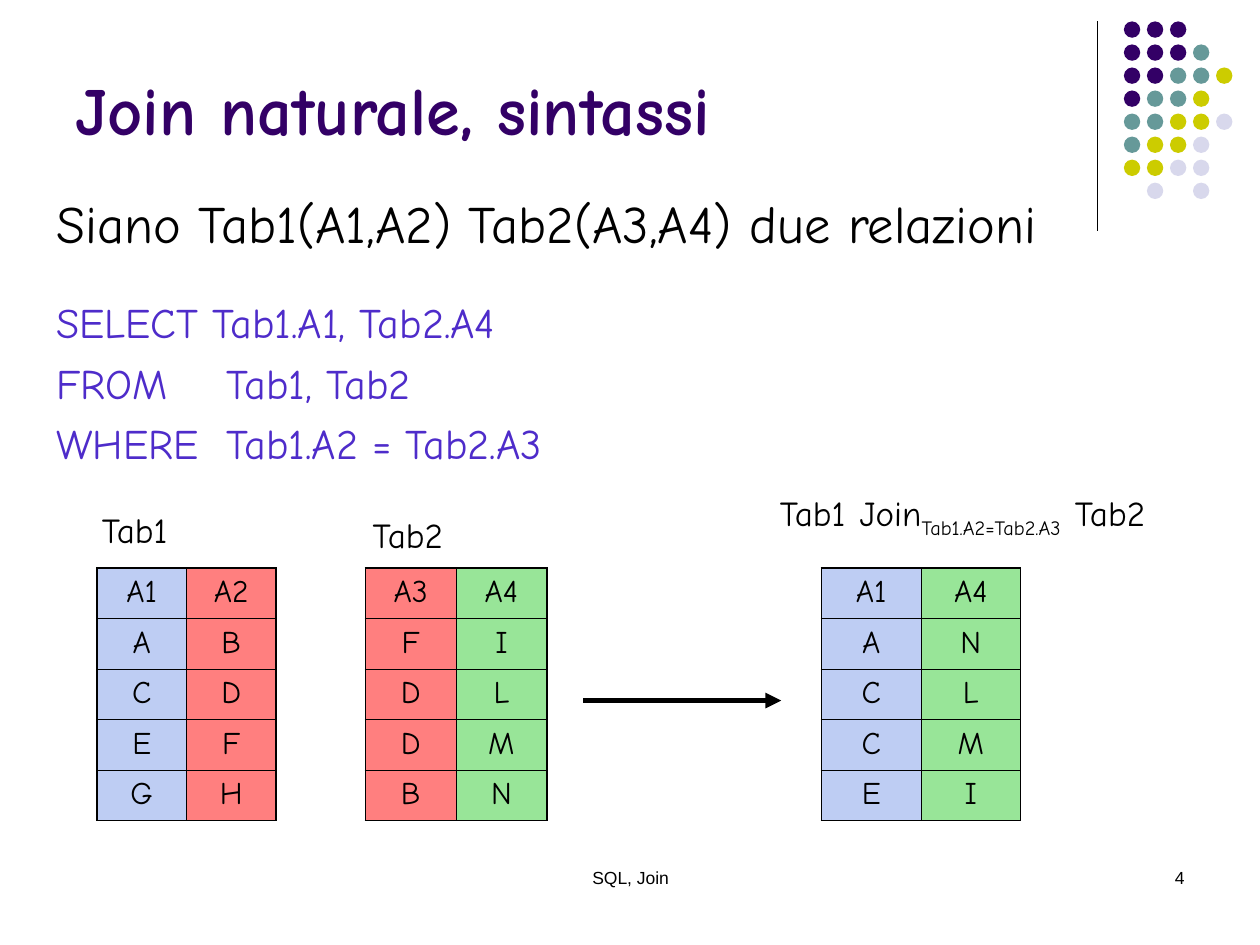
from lxml import etree
from pptx import Presentation
from pptx import util as u
from pptx.dml.color import RGBColor
from pptx.enum import shapes, text
from pptx.oxml.ns import qn

COLORS = {
    "black": "000000", "purple": "330066", "teal": "669999", "olive": "CCCC00",
    "lilac": "D8D8EC", "violet": "4E2CCA", "blue": "7E9CE8", "red": "FF0000",
    "green": "33CC33",
}
DOT_COLORS = {"p": "purple", "t": "teal", "o": "olive", "l": "lilac"}
DOT_ROWS = ["ppp", "pppt", "pptto", "ptto", "ttool", "tool", "ooll", " l l"]
TABLES = [
    (0.77, 0.71, ("blue", "red"), ["A1 A2", "A B", "C D", "E F", "G H"]),
    (2.90, 0.72, ("red", "green"), ["A3 A4", "F I", "D L", "D M", "B N"]),
    (6.52, 0.79, ("blue", "green"), ["A1 A4", "A N", "C L", "C M", "E I"]),
]
TABLE_TOP, ROW_HEIGHT = 4.51, 0.4
THICK, THIN = 1.08, 0.45


def rgb(name):
    return RGBColor.from_string(COLORS[name])


def add_run(p, words, size, color="black", font="Comic Neue", bold=False, baseline=None):
    r = p.add_run()
    r.text = words
    for key, value in {"size": u.Pt(size), "name": font, "bold": bold}.items():
        setattr(r.font, key, value)
    r.font.color.rgb = rgb(color)
    if baseline:
        r.font._element.set("baseline", str(baseline))


def add_text(s, box, paragraphs, wrap=True, anchor=text.MSO_ANCHOR.TOP):
    tf = s.shapes.add_textbox(*map(u.Inches, box)).text_frame
    tf.word_wrap = wrap
    tf.vertical_anchor = anchor
    for i, (runs, layout) in enumerate(paragraphs):
        p = tf.paragraphs[0] if i == 0 else tf.add_paragraph()
        for key, value in layout.items():
            setattr(p, key, value)
        for run in runs:
            add_run(p, **run)
    return tf


def add_tab_stop(p, position):
    stops = etree.SubElement(p._p.get_or_add_pPr(), qn("a:tabLst"))
    etree.SubElement(stops, qn("a:tab"), pos=str(u.Inches(position)), algn="l")


def add_line(s, start, end, width, arrow=False):
    line = s.shapes.add_connector(
        shapes.MSO_CONNECTOR.STRAIGHT, *map(u.Inches, start + end))
    line.line.color.rgb = rgb("black")
    line.line.width = u.Pt(width)
    if arrow:
        etree.SubElement(line.line._get_or_add_ln(), qn("a:tailEnd"), type="triangle")
    etree.SubElement(line._element.spPr, qn("a:effectLst"))


def add_dots(s):
    group = s.shapes.add_group_shape()
    pitch = 1.28 / 7
    for row, pattern in enumerate(DOT_ROWS):
        for col, mark in enumerate(pattern):
            if mark == " ":
                continue
            box = (8.92 + col * pitch, 0.17 + row * pitch, 0.13, 0.13)
            sp = group.shapes.add_shape(shapes.MSO_SHAPE.OVAL, *map(u.Inches, box))
            sp.shadow.inherit = False
            sp.fill.solid()
            sp.fill.fore_color.rgb = rgb(DOT_COLORS[mark])
            sp.line.fill.background()


def set_borders(cell, widths):
    tcPr = cell._tc.get_or_add_tcPr()
    for i, (side, width) in enumerate(zip("LRTB", widths)):
        ln = etree.Element(qn(f"a:ln{side}"), w=str(u.Pt(width)))
        fill = etree.SubElement(ln, qn("a:solidFill"))
        etree.SubElement(fill, qn("a:srgbClr"), val=COLORS["black"])
        tcPr.insert(i, ln)


def fill_cell(cell, color):
    cell.fill.solid()
    cell.fill.fore_color.rgb = rgb(color)
    tint = next(cell._tc.tcPr.iter(qn("a:srgbClr")))
    etree.SubElement(tint, qn("a:alpha"), val="50000")


def add_relation(s, left, col_width, colors, rows):
    box = (left, TABLE_TOP, 2 * col_width, ROW_HEIGHT * len(rows))
    table = s.shapes.add_table(len(rows), 2, *map(u.Inches, box)).table
    table.first_row = table.horz_banding = False
    for column in table.columns:
        column.width = u.Inches(col_width)
    for i, row in enumerate(rows):
        table.rows[i].height = u.Inches(ROW_HEIGHT)
        for j, value in enumerate(row.split()):
            cell = table.cell(i, j)
            p = cell.text_frame.paragraphs[0]
            p.alignment = text.PP_ALIGN.CENTER
            p.space_before = u.Pt(4.5)
            add_run(p, value, 18)
            fill_cell(cell, colors[j])
            edges = (j == 0, j == 1, i == 0, i == len(rows) - 1)
            set_borders(cell, [THICK if edge else THIN for edge in edges])


def add_query(s):
    query = {"size": 24, "color": "violet"}
    tf = add_text(s, (0.35, 1.47, 9.42, 2.5), [
        ([{"words": "Siano Tab1(A1,A2) Tab2(A3,A4) due relazioni", "size": 30}], {}),
        ([{"words": "SELECT Tab1.A1, Tab2.A4", **query}],
         {"line_spacing": 1.2, "space_before": u.Pt(18.5)}),
        ([{"words": "FROM\tTab1, Tab2", **query}], {"line_spacing": 1.2}),
        ([{"words": "WHERE\tTab1.A2 = Tab2.A3", **query}], {"line_spacing": 1.2}),
    ])
    for p in tf.paragraphs[2:]:
        add_tab_stop(p, 1.35)


def add_labels(s):
    for box, name in [((0.71, 3.99, 0.75, 0.44), "Tab1"),
                      ((2.86, 4.03, 0.78, 0.44), "Tab2")]:
        add_text(s, box, [([{"words": name, "size": 20}], {})], wrap=False)
    add_text(s, (6.09, 3.8, 3.18, 0.54), [([
        {"words": "Tab1", "size": 20},
        {"words": " ", "size": 24},
        {"words": "Join", "size": 20},
        {"words": "Tab1.A2=Tab2.A3", "size": 20, "baseline": -25000},
        {"words": " ", "size": 24},
        {"words": "Tab2", "size": 20},
    ], {})], wrap=False)


def add_footer(s):
    for box, words, side in [
            ((3.42, 6.83, 3.17, 0.5), "SQL, Join", text.PP_ALIGN.CENTER),
            ((7.17, 6.83, 2.33, 0.5), "4", text.PP_ALIGN.RIGHT)]:
        run = {"words": words, "size": 10, "font": "Arial"}
        add_text(s, box, [([run], {"alignment": side})])


def main():
    prs = Presentation()
    prs.slide_width, prs.slide_height = u.Inches(10), u.Inches(7.5)
    s = prs.slides.add_slide(prs.slide_layouts[6])
    add_line(s, (8.71, 0.17), (8.71, 1.83), 0.75)
    add_dots(s)
    title = {"words": "Join naturale, sintassi", "size": 39, "color": "purple", "bold": True}
    add_text(s, (0.5, 0.13, 8.25, 1.1), [([title], {})], anchor=text.MSO_ANCHOR.BOTTOM)
    add_query(s)
    for relation in TABLES:
        add_relation(s, *relation)
    add_line(s, (4.63, 5.56), (6.2, 5.56), 3, arrow=True)
    add_labels(s)
    add_footer(s)
    prs.save("out.pptx")


if __name__ == "__main__":
    main()
